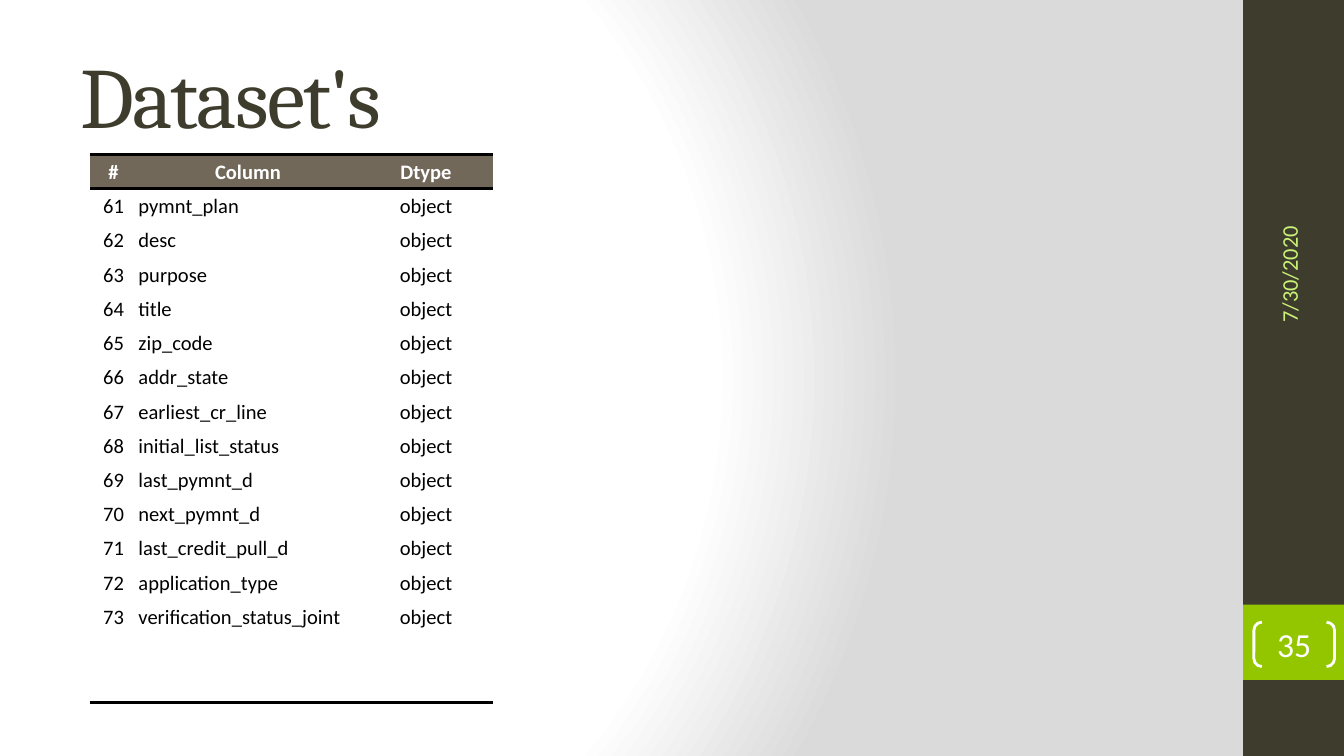
from lxml.etree import SubElement
from pptx import Presentation
from pptx.dml.color import RGBColor
from pptx.enum.shapes import MSO_SHAPE
from pptx.enum.text import MSO_ANCHOR, PP_ALIGN
from pptx.oxml import parse_xml
from pptx.oxml.ns import nsdecls, qn
from pptx.util import Inches, Pt


def color(value):
    return RGBColor.from_string(value)


def write(frame, text, size=11, font="Calibri", ink="000000", bold=False,
          align=PP_ALIGN.LEFT, spacing=0):
    para = frame.paragraphs[0]
    para.alignment = align
    if not text:
        SubElement(para._p, qn("a:endParaRPr"), sz=str(size * 100))
        return
    span = para.add_run()
    span.text = text
    span.font.size = Pt(size)
    span.font.name = font
    span.font.bold = bold
    span.font.color.rgb = color(ink)
    if spacing:
        span._r.get_or_add_rPr().set("spc", str(spacing * 100))


deck = Presentation()
deck.slide_width = Inches(10)
deck.slide_height = Inches(10 * 9 / 16)
page = deck.slides.add_slide(deck.slide_layouts[5])

page.background.fill.solid()
background = page._element.find(".//" + qn("p:bgPr"))
stops = "".join(
    f'<a:gs pos="{place * 1000}"><a:srgbClr val="{shade}"/></a:gs>'
    for place, shade in [(0, "FFFFFF"), (75, "FFFFFF"), (100, "DADADA")]
)
gradient = parse_xml(
    f'<a:gradFill {nsdecls("a")} rotWithShape="1"><a:gsLst>{stops}</a:gsLst>'
    '<a:path path="circle">'
    '<a:fillToRect l="20000" t="50000" r="100000" b="50000"/>'
    '</a:path></a:gradFill>'
)
background.replace(background[0], gradient)

for top, height, fill in [(0, deck.slide_height, "3E3D2D"),
                          (Inches(4.5), Inches(0.56), "94C600")]:
    band = page.shapes.add_shape(
        MSO_SHAPE.RECTANGLE, Inches(9.25), top, Inches(0.75), height)
    band.shadow.inherit = False
    band.fill.solid()
    band.fill.fore_color.rgb = color(fill)
    band.line.fill.background()

title = page.shapes.title
title.left, title.top = Inches(0.5), Inches(0.23)
title.width, title.height = Inches(8.33), Inches(0.94)
title.text_frame.vertical_anchor = MSO_ANCHOR.MIDDLE
write(title.text_frame, "Dataset's", size=46, font="Cambria", ink="3E3D2D", spacing=-1)

date_box = page.shapes.add_textbox(Inches(8.59), Inches(1.3), Inches(2), Inches(0.4))
date_box.rotation = 270
date_box.text_frame.word_wrap = True
date_box.text_frame.vertical_anchor = MSO_ANCHOR.MIDDLE
write(date_box.text_frame, "7/30/2020", size=12, ink="CAF278")

number_box = page.shapes.add_shape(
    MSO_SHAPE.DOUBLE_BRACKET, Inches(9.33), Inches(4.63), Inches(0.6), Inches(0.33))
number_box.adjustments[0] = 0.18
number_box.shadow.inherit = False
number_box.fill.background()
number_box.line.color.rgb = color("FFFFFF")
number_box.line.width = Pt(1.5)
number_frame = number_box.text_frame
number_frame.margin_left = number_frame.margin_right = 0
number_frame.margin_top = number_frame.margin_bottom = 0
number_frame.vertical_anchor = MSO_ANCHOR.MIDDLE
write(number_frame, "35", size=18, ink="FFFFFF", align=PP_ALIGN.CENTER)

columns = [
    "pymnt_plan", "desc", "purpose", "title", "zip_code", "addr_state",
    "earliest_cr_line", "initial_list_status", "last_pymnt_d", "next_pymnt_d",
    "last_credit_pull_d", "application_type", "verification_status_joint",
]
rows = [("#", "Column", "Dtype")]
rows += [(str(number), name, "object") for number, name in enumerate(columns, 61)]
rows += [("", "", "")] * 2
last_row = len(rows) - 1

table = page.shapes.add_table(
    len(rows), 3, Inches(0.67), Inches(1.15), Inches(3), Inches(4.08)).table
table.horz_banding = False
for column, width in zip(table.columns, [0.35, 1.65, 1]):
    column.width = Inches(width)

for row_index, values in enumerate(rows):
    header = row_index == 0
    table.rows[row_index].height = Inches(4.08 / len(rows))
    for column_index, value in enumerate(values):
        cell = table.cell(row_index, column_index)
        cell.margin_left = cell.margin_right = cell.margin_top = Inches(0.01)
        cell.margin_bottom = 0
        cell.vertical_anchor = MSO_ANCHOR.MIDDLE
        left_aligned = column_index == 1 and not header
        write(cell.text_frame, value, bold=header,
              ink="FFFFFF" if header else "000000",
              align=PP_ALIGN.LEFT if left_aligned else PP_ALIGN.CENTER)
        properties = cell._tc.get_or_add_tcPr()
        ruled = {"lnT": row_index in (0, 1), "lnB": row_index in (0, last_row)}
        for side in ("lnL", "lnR", "lnT", "lnB"):
            if ruled.get(side):
                border = SubElement(properties, qn("a:" + side), w=str(Pt(2)))
                paint = SubElement(border, qn("a:solidFill"))
                SubElement(paint, qn("a:srgbClr"), val="000000")
            else:
                border = SubElement(properties, qn("a:" + side), w="0")
                SubElement(border, qn("a:noFill"))
        cell.fill.solid()
        cell.fill.fore_color.rgb = color("71685A" if header else "FFFFFF")

deck.save("out.pptx")
